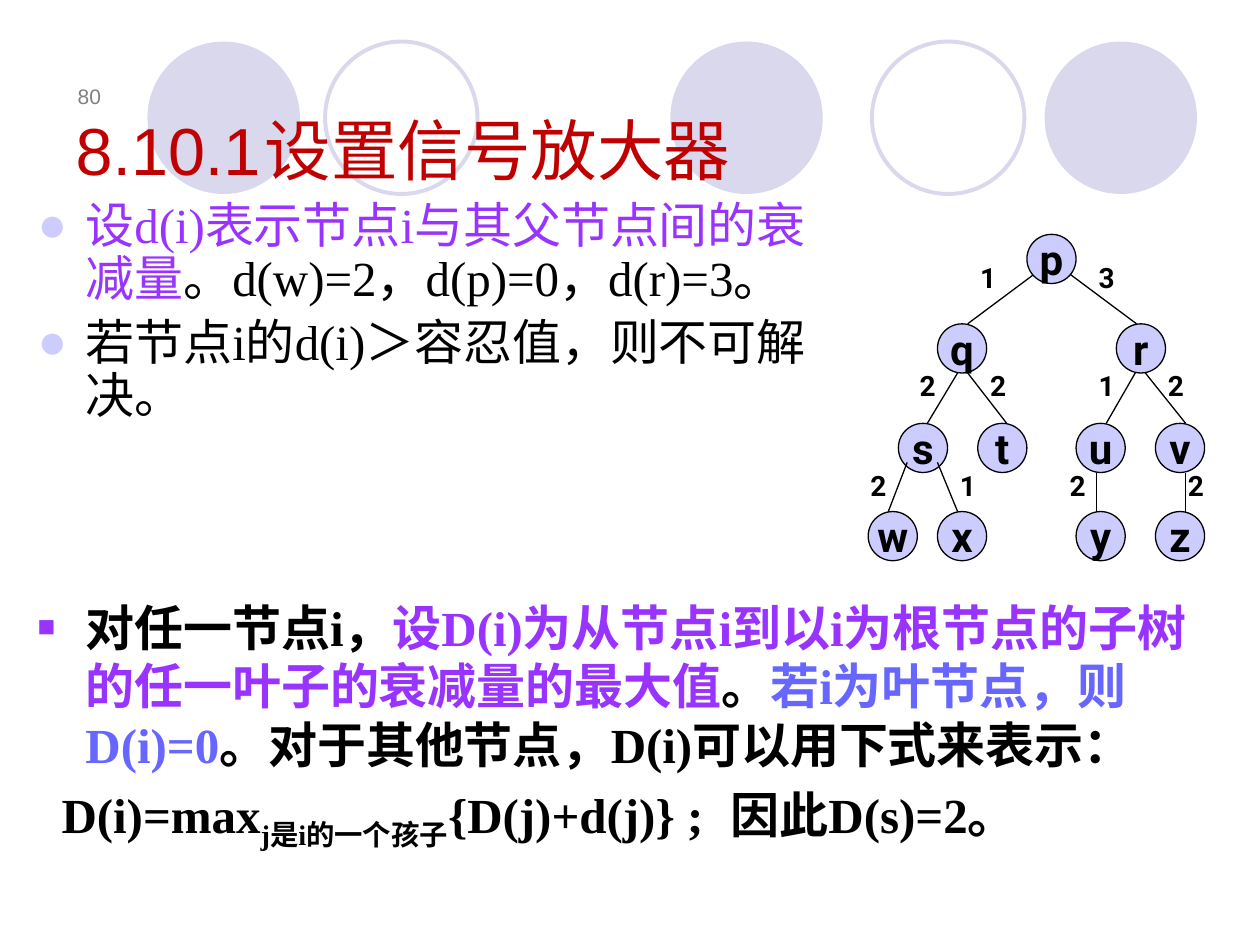
from lxml import etree
from pptx import Presentation
from pptx.dml.color import RGBColor
from pptx.enum.shapes import MSO_CONNECTOR, MSO_SHAPE
from pptx.enum.text import MSO_ANCHOR, MSO_AUTO_SIZE, PP_ALIGN
from pptx.oxml.ns import qn
from pptx.util import Inches, Pt

OVAL = MSO_SHAPE.OVAL
STRAIGHT = MSO_CONNECTOR.STRAIGHT
TOP, MIDDLE, BOTTOM = MSO_ANCHOR.TOP, MSO_ANCHOR.MIDDLE, MSO_ANCHOR.BOTTOM
LEFT, CENTER, RIGHT = PP_ALIGN.LEFT, PP_ALIGN.CENTER, PP_ALIGN.RIGHT
NO_AUTOFIT = MSO_AUTO_SIZE.NONE

COLORS = {
    "circle": "D9D8EC", "node": "CCCCFF", "black": "000000", "title": "C00000",
    "number": "808080", "purple": "9933FF", "blue": "6767FF",
}
HEADING_FONT, BODY_FONT, TREE_FONT = "Arial", "Times New Roman", "Roboto"
NODE_SIZE = 0.39


class SlideBuilder:
    def __init__(self, slide):
        self.slide = slide

    def color(self, name):
        return RGBColor.from_string(COLORS[name])

    def style(self, font, name, size, color, bold=False):
        font.name, font.size, font.bold = name, Pt(size), bold
        font.color.rgb = self.color(color)

    def title(self, text, left, top, width, height):
        shape = self.slide.shapes.title
        # Bring the title in front of the background circles
        self.slide.shapes._spTree.append(shape._element)
        shape.left, shape.top = Inches(left), Inches(top)
        shape.width, shape.height = Inches(width), Inches(height)
        frame = shape.text_frame
        frame.text = text
        frame.auto_size = NO_AUTOFIT
        frame.vertical_anchor = BOTTOM
        paragraph = frame.paragraphs[0]
        paragraph.alignment = LEFT
        self.style(paragraph.runs[0].font, HEADING_FONT, 38, "title")

    def circle(self, left, top, size, fill=None, line=None, line_width=0.75):
        shape = self.slide.shapes.add_shape(
            OVAL, Inches(left), Inches(top), Inches(size), Inches(size))
        shape.shadow.inherit = False
        if fill:
            shape.fill.solid()
            shape.fill.fore_color.rgb = self.color(fill)
        else:
            shape.fill.background()
        if line:
            shape.line.color.rgb = self.color(line)
            shape.line.width = Pt(line_width)
        else:
            shape.line.fill.background()
        return shape

    def node(self, name, left, top):
        frame = self.circle(left, top, NODE_SIZE, "node", "black").text_frame
        frame.text = name
        frame.word_wrap = False
        frame.vertical_anchor = MIDDLE
        paragraph = frame.paragraphs[0]
        paragraph.alignment = CENTER
        self.style(paragraph.runs[0].font, TREE_FONT, 24, "black", True)

    def edge(self, x1, y1, x2, y2):
        line = self.slide.shapes.add_connector(
            STRAIGHT, Inches(x1), Inches(y1), Inches(x2), Inches(y2))
        line.line.color.rgb = self.color("black")
        line.line.width = Pt(0.75)
        etree.SubElement(line._element.spPr, qn("a:effectLst"))

    def text_box(self, left, top, width, height, anchor=TOP):
        frame = self.slide.shapes.add_textbox(
            Inches(left), Inches(top), Inches(width), Inches(height)).text_frame
        frame.word_wrap = True
        frame.vertical_anchor = anchor
        return frame

    def label(self, text, box, font, size, color, bold=False, align=LEFT, anchor=TOP):
        frame = self.text_box(*box, anchor)
        frame.text = text
        paragraph = frame.paragraphs[0]
        paragraph.alignment = align
        self.style(paragraph.runs[0].font, font, size, color, bold)

    def bullet(self, paragraph, char, color, percent):
        properties = paragraph._p.get_or_add_pPr()
        properties.set("marL", str(Inches(0.38)))
        properties.set("indent", str(Inches(-0.38)))
        bullet_color = etree.SubElement(properties, qn("a:buClr"))
        etree.SubElement(bullet_color, qn("a:srgbClr"), val=COLORS[color])
        etree.SubElement(properties, qn("a:buSzPct"), val=str(percent * 1000))
        etree.SubElement(properties, qn("a:buFont"), typeface="Arial")
        etree.SubElement(properties, qn("a:buChar"), char=char)

    def first_line(self, paragraph, indent, tab):
        properties = paragraph._p.get_or_add_pPr()
        properties.set("marL", "0")
        properties.set("indent", str(Inches(indent)))
        tabs = etree.SubElement(properties, qn("a:tabLst"))
        etree.SubElement(tabs, qn("a:tab"), pos=str(Inches(tab)), algn="l")

    def runs(self, paragraph, parts, bold=False):
        for text, color, *baseline in parts:
            run = paragraph.add_run()
            run.text = text
            self.style(run.font, BODY_FONT, 28, color, bold)
            if baseline:
                run.font._element.set("baseline", str(baseline[0] * 1000))


# Tree: node -> left, top
ROWS = [1.86, 2.57, 3.36, 4.06]
LABEL_ROWS = [2.02, 2.88, 3.67]
NODES = {
    "q": (7.44, 1), "r": (8.86, 1),
    "s": (7.13, 2), "t": (7.76, 2), "u": (8.54, 2), "v": (9.17, 2),
    "w": (6.89, 3), "x": (7.44, 3), "y": (8.54, 3), "z": (9.17, 3),
}
# Child row, child x, parent x, parent y, weight, weight left
EDGES = [
    (1, 7.68, 8.31, 2.1, "1", 7.68), (1, 9.02, 8.39, 2.1, "3", 8.62),
    (2, 7.36, 7.6, 2.96, "2", 7.2), (2, 7.99, 7.68, 2.96, "2", 7.76),
    (2, 8.78, 9.01, 2.96, "1", 8.62), (2, 9.41, 9.09, 2.96, "2", 9.17),
    (3, 7.05, 7.2, 3.67, "2", 6.81), (3, 7.6, 7.44, 3.67, "1", 7.52),
    (3, 8.7, 8.7, 3.75, "2", 8.39), (3, 9.41, 9.41, 3.75, "2", 9.33),
]


def main():
    presentation = Presentation()
    presentation.slide_width, presentation.slide_height = Inches(10), Inches(7.5)
    slide = presentation.slides.add_slide(presentation.slide_layouts[5])
    builder = SlideBuilder(slide)

    # Background circles
    for left in (1.17, 5.32, 8.29):
        builder.circle(left, 0.33, 1.21, fill="circle")
    for left in (2.58, 6.92):
        builder.circle(left, 0.33, 1.21, line="circle", line_width=2.25)

    # Slide number and title
    builder.label("80", (0.35, 0.44, 0.55, 0.47), HEADING_FONT, 12, "number",
                  align=RIGHT, anchor=BOTTOM)
    builder.title("8.10.1\t设置信号放大器", 0.5, 0.3, 9, 1.25)

    # Upper bullets
    frame = builder.text_box(0.2, 1.55, 6.38, 3.07)
    points = [
        [("设d(i)表示节点i与其父节点间的衰减量", "purple"),
         ("。d(w)=2，d(p)=0，d(r)=3。", "black")],
        [("若节点i的d(i)＞容忍值，则不可解决。", "black")],
    ]
    for index, parts in enumerate(points):
        paragraph = frame.add_paragraph() if index else frame.paragraphs[0]
        builder.bullet(paragraph, "●", "node", 100)
        paragraph.line_spacing = 0.9
        if index:
            paragraph.space_before = Pt(6)
        builder.runs(paragraph, parts)

    # Tree, with the root in front of its edges
    for name, (left, row) in NODES.items():
        builder.node(name, left, ROWS[row])
    for row, child_x, parent_x, parent_y, weight, weight_left in EDGES:
        builder.edge(child_x, ROWS[row], parent_x, parent_y)
        builder.label(weight, (weight_left, LABEL_ROWS[row - 1], 0.32, 0.37),
                      TREE_FONT, 16, "black", True)
    builder.node("p", 8.15, ROWS[0])

    # Definition and formula
    frame = builder.text_box(0.2, 4.69, 9.37, 2.44)
    definition = frame.paragraphs[0]
    builder.bullet(definition, "■", "purple", 60)
    builder.runs(definition, [
        ("对任一节点i，", "black"),
        ("设D(i)为从节点i到以i为根节点的子树的任一叶子的衰减量的最大值", "purple"),
        ("。", "black"),
        ("若i为叶节点，则D(i)=0", "blue"),
        ("。对于其他节点，D(i)可以用下式来表示：", "black"),
    ], bold=True)
    formula = frame.add_paragraph()
    builder.first_line(formula, 0.19, 5.95)
    formula.space_before = Pt(6)
    builder.runs(formula, [
        ("D(i)=max", "black"),
        ("j是i的一个孩子", "black", -25),
        ("{D(j)+d(j)} ;\t因此D(s)=2。", "black"),
    ], bold=True)

    presentation.save("out.pptx")


if __name__ == "__main__":
    main()
